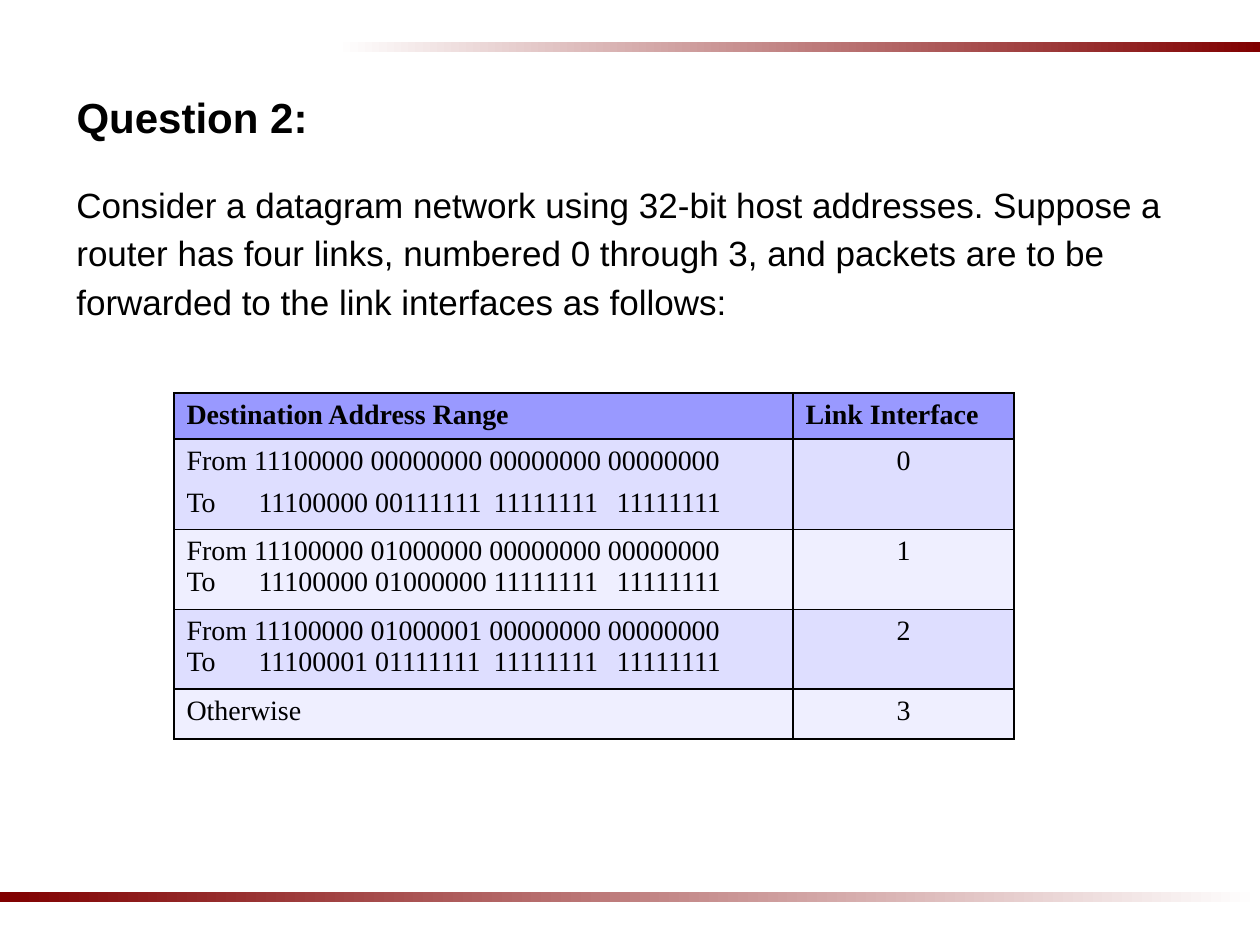
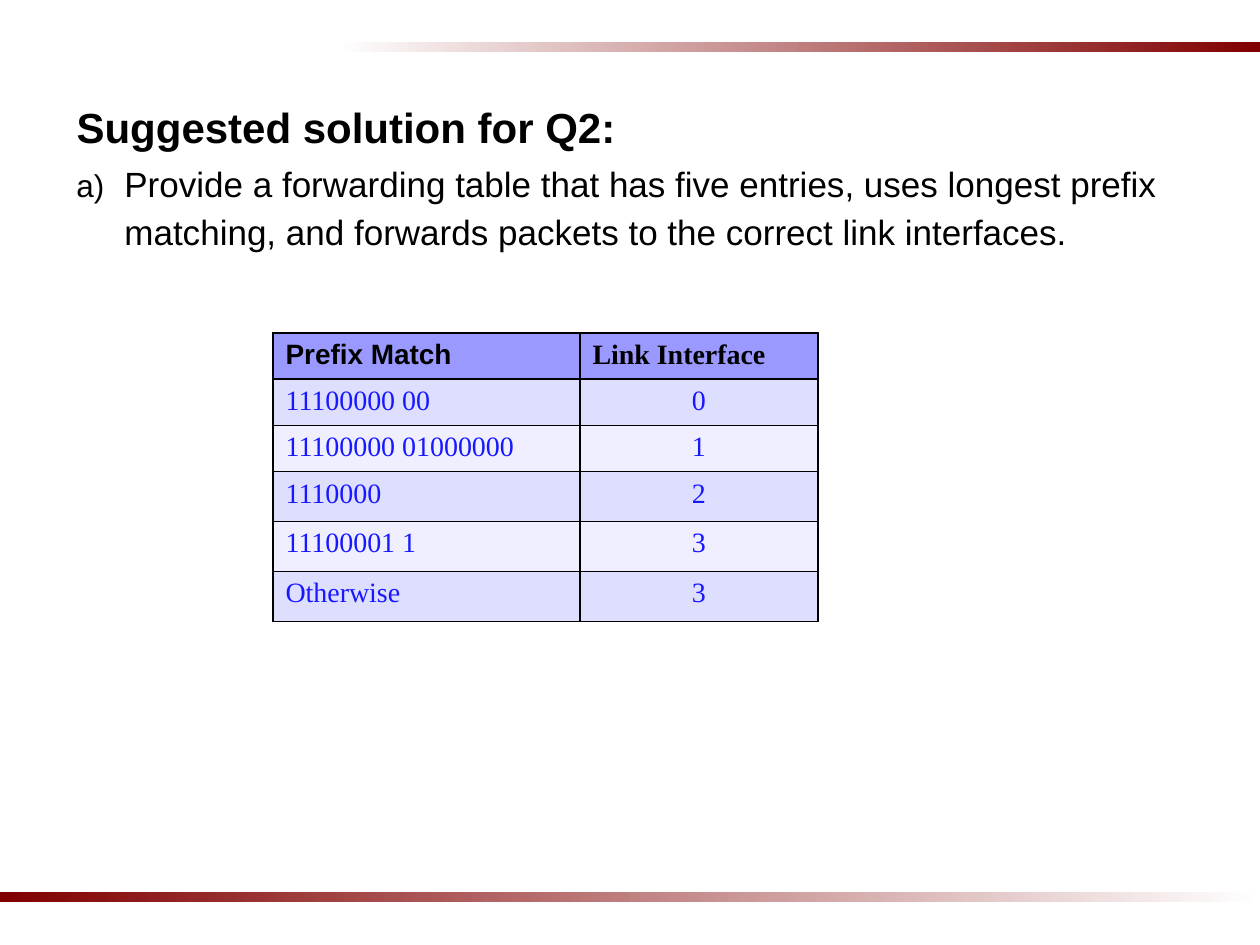
import pptx
import pptx.dml.color
import pptx.enum.shapes
import pptx.enum.text
import pptx.oxml
import pptx.oxml.ns
import pptx.util
from lxml import etree

EMU_PER_PX = 914400 / 126
SANS, SERIF = "Arial", "Times New Roman"
BLACK, WHITE, MAROON, ANSWER_BLUE = "000000", "FFFFFF", "800000", "1818FF"
HEADER_FILL, ROW_FILLS = "9999FF", ("DEDEFF", "EFEFFF")
TEXT_LEFT, TEXT_WIDTH = 64, 1160
ADDRESS_TABS = (72, 307, 430)
CENTER = pptx.enum.text.PP_ALIGN.CENTER
LEFT = pptx.enum.text.PP_ALIGN.LEFT


def px(length):
    return pptx.util.Emu(round(length * EMU_PER_PX))


def color(hex_value):
    return pptx.dml.color.RGBColor.from_string(hex_value)


def add_xml(parent, tag, **attributes):
    values = {key: str(value) for key, value in attributes.items()}
    return etree.SubElement(parent, pptx.oxml.ns.qn(tag), values)


def style_paragraph(paragraph, size, font=SANS, ink=BLACK, bold=False, align=LEFT):
    paragraph.alignment = align
    for run in paragraph.runs:
        run.font.name = font
        run.font.size = pptx.util.Pt(size)
        run.font.bold = bold
        run.font.color.rgb = color(ink)


def add_band(slide, left, top, width, start, end):
    band = slide.shapes.add_shape(
        pptx.enum.shapes.MSO_SHAPE.RECTANGLE, px(left), px(top), px(width), px(10))
    band.shadow.inherit = False
    band.line.fill.background()
    band.fill.gradient()
    band.fill.gradient_angle = 0
    for stop, shade in zip(band.fill.gradient_stops, (start, end)):
        stop.color.rgb = color(shade)


def add_titled_slide(deck, heading, top):
    slide = deck.slides.add_slide(deck.slide_layouts[5])
    add_band(slide, 336, 42, 924, WHITE, MAROON)
    add_band(slide, 0, 892, 1260, MAROON, WHITE)
    title = slide.shapes.title
    title.left, title.top = px(TEXT_LEFT), px(top)
    title.width, title.height = px(TEXT_WIDTH), px(60)
    frame = title.text_frame
    frame.text = heading
    frame.auto_size = pptx.enum.text.MSO_AUTO_SIZE.NONE
    frame.vertical_anchor = pptx.enum.text.MSO_ANCHOR.TOP
    style_paragraph(frame.paragraphs[0], 24, bold=True)
    return slide


def add_body(slide, text, top, height, lettered=False):
    body = slide.shapes.add_textbox(px(TEXT_LEFT), px(top), px(TEXT_WIDTH), px(height))
    frame = body.text_frame
    frame.word_wrap = True
    frame.text = text
    paragraph = frame.paragraphs[0]
    style_paragraph(paragraph, 20)
    paragraph.line_spacing = 1.15
    if lettered:
        properties = paragraph._p.get_or_add_pPr()
        properties.set("marL", str(px(48)))
        properties.set("indent", str(px(-48)))
        add_xml(properties, "a:buSzPct", val=90000)
        add_xml(properties, "a:buFont", typeface=SANS)
        add_xml(properties, "a:buAutoNum", type="alphaLcParenR")


def add_borders(cell):
    properties = cell._tc.get_or_add_tcPr()
    for index, side in enumerate(("a:lnL", "a:lnR", "a:lnT", "a:lnB")):
        border = etree.Element(pptx.oxml.ns.qn(side), w=str(pptx.util.Pt(1)))
        add_xml(add_xml(border, "a:solidFill"), "a:srgbClr", val=BLACK)
        properties.insert(index, border)


def add_tabs(paragraph):
    tabs = add_xml(paragraph._p.get_or_add_pPr(), "a:tabLst")
    for position in ADDRESS_TABS:
        add_xml(tabs, "a:tab", pos=px(position), algn="l")


def add_forwarding_table(slide, left, top, widths, heights, rows, ink, header_fonts):
    table = slide.shapes.add_table(
        len(rows), len(widths), px(left), px(top), px(sum(widths)), px(sum(heights))).table
    table.horz_banding = False
    for column, width in zip(table.columns, widths):
        column.width = px(width)
    for row_index, (values, height) in enumerate(zip(rows, heights)):
        table.rows[row_index].height = px(height)
        is_header = row_index == 0
        for column_index, value in enumerate(values):
            cell = table.cell(row_index, column_index)
            cell.fill.solid()
            cell.fill.fore_color.rgb = color(
                HEADER_FILL if is_header else ROW_FILLS[(row_index - 1) % 2])
            add_borders(cell)
            cell.text_frame.text = value
            for paragraph in cell.text_frame.paragraphs:
                style_paragraph(
                    paragraph, 16,
                    font=header_fonts[column_index] if is_header else SERIF,
                    ink=BLACK if is_header else ink,
                    bold=is_header,
                    align=CENTER if column_index and not is_header else LEFT)
                if "\t" in paragraph.text:
                    add_tabs(paragraph)
    return table


def build_question(deck):
    slide = add_titled_slide(deck, "Question 2:", 85)
    add_body(
        slide,
        "Consider a datagram network using 32-bit host addresses. Suppose a router has "
        "four links, numbered 0 through 3, and packets are to be forwarded to the link "
        "interfaces as follows:", 171, 160)
    ranges = [
        ("Destination Address Range", "Link Interface"),
        ("From 11100000 00000000 00000000 00000000\n"
         "To\t11100000 00111111\t11111111\t11111111", "0"),
        ("From 11100000 01000000 00000000 00000000\n"
         "To\t11100000 01000000\t11111111\t11111111", "1"),
        ("From 11100000 01000001 00000000 00000000\n"
         "To\t11100001 01111111\t11111111\t11111111", "2"),
        ("Otherwise", "3"),
    ]
    table = add_forwarding_table(
        slide, 174, 393, (619, 221), (45, 88, 75, 75, 50), ranges, BLACK, (SERIF, SERIF))
    first_range_end = table.cell(1, 0).text_frame.paragraphs[1]
    first_range_end.space_before = pptx.util.Pt(6)


def build_solution(deck):
    slide = add_titled_slide(deck, "Suggested solution for Q2:", 95)
    add_body(
        slide,
        "Provide a forwarding table that has five entries, uses longest prefix matching, "
        "and forwards packets to the correct link interfaces.", 150, 110, lettered=True)
    prefixes = [
        ("Prefix Match", "Link Interface"),
        ("11100000 00", "0"),
        ("11100000 01000000", "1"),
        ("1110000", "2"),
        ("11100001 1", "3"),
        ("Otherwise", "3"),
    ]
    add_forwarding_table(
        slide, 273, 333, (307, 238), (45, 44, 46, 50, 50, 50), prefixes,
        ANSWER_BLUE, (SANS, SERIF))


def main():
    deck = pptx.Presentation()
    deck.slide_width, deck.slide_height = px(1260), px(945)
    build_question(deck)
    build_solution(deck)
    deck.save("out.pptx")


if __name__ == "__main__":
    main()
